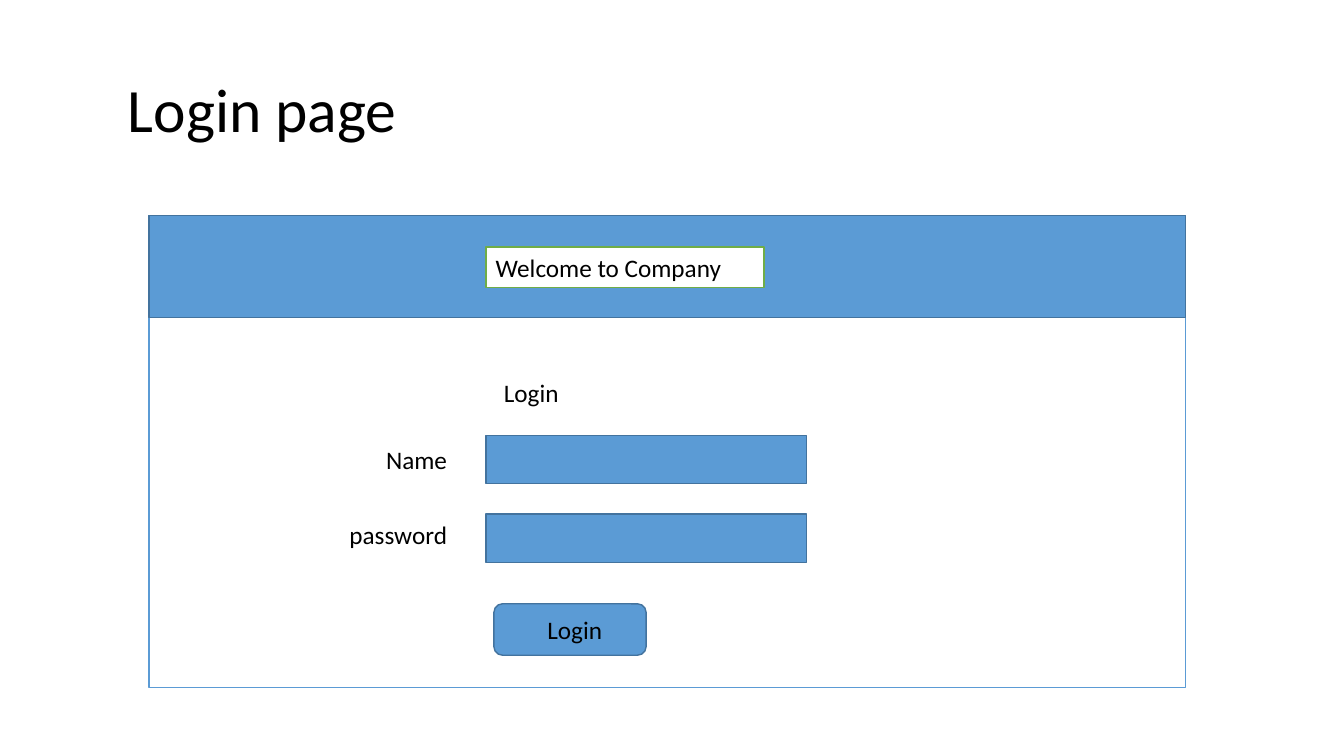
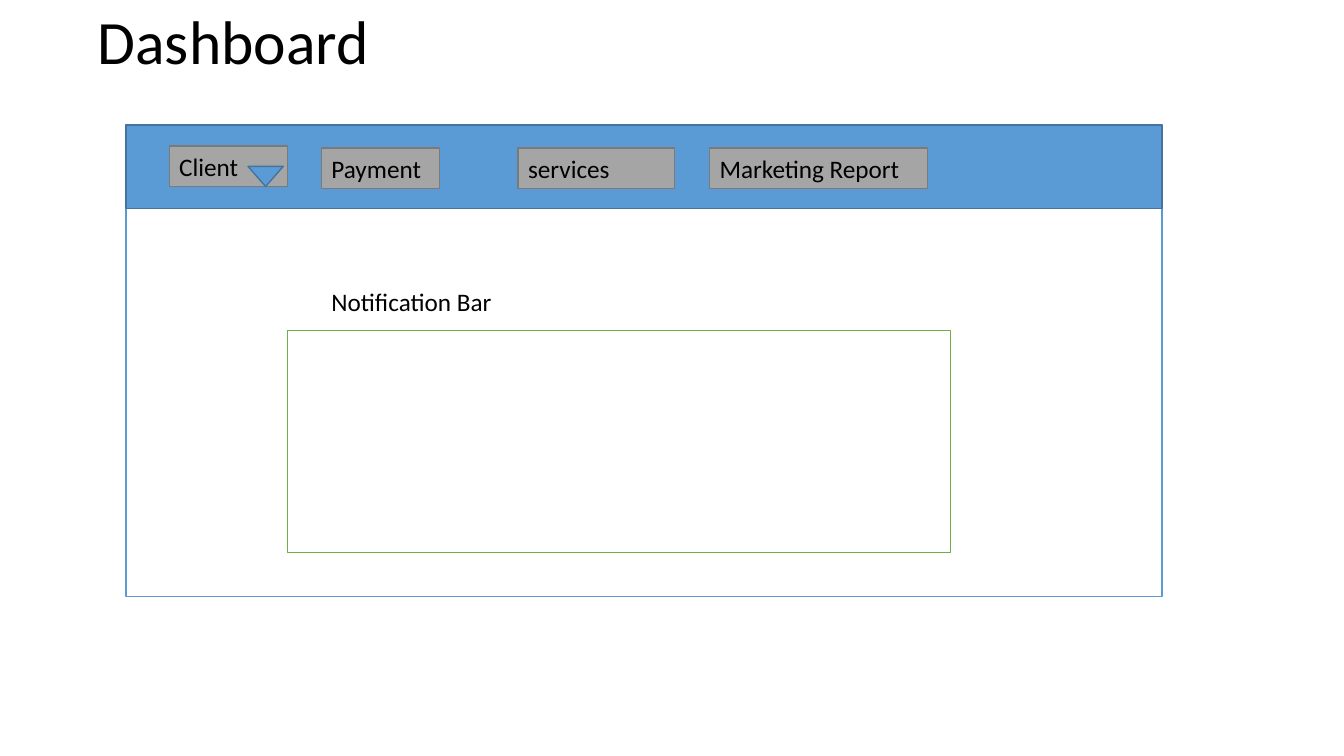
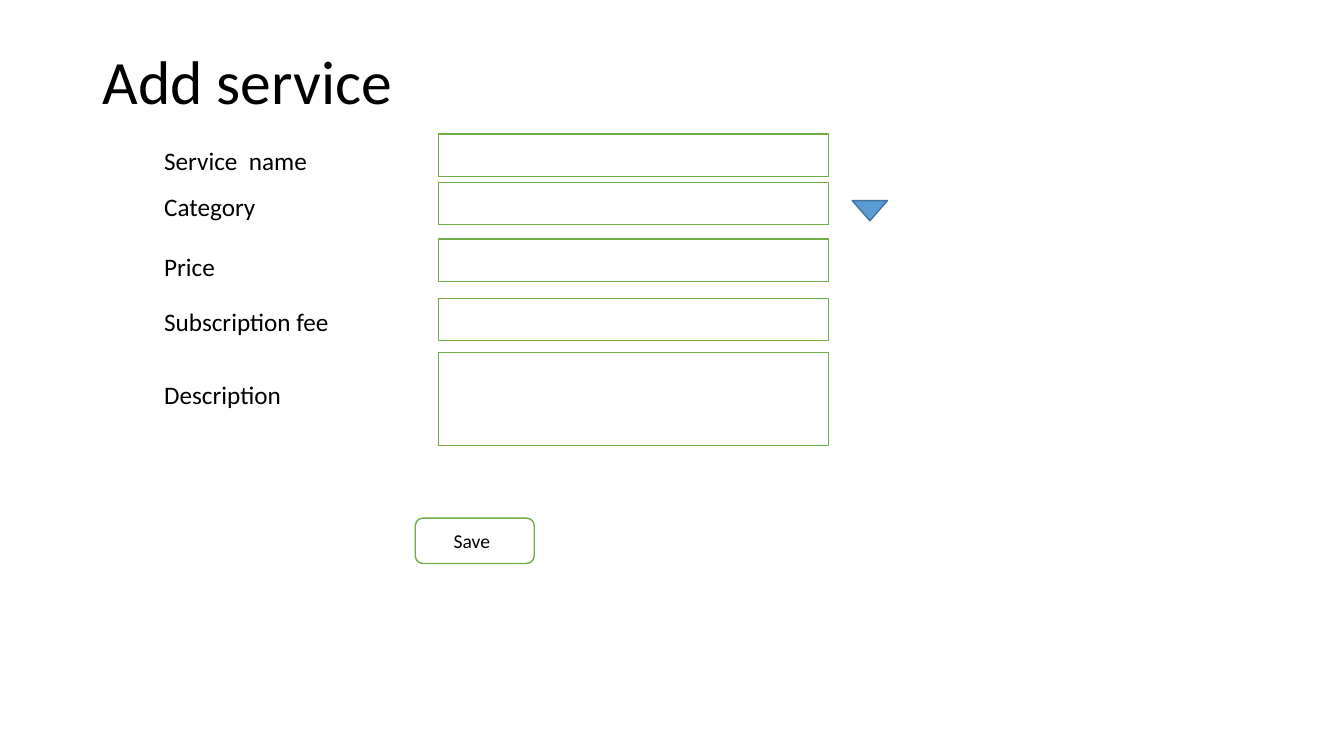
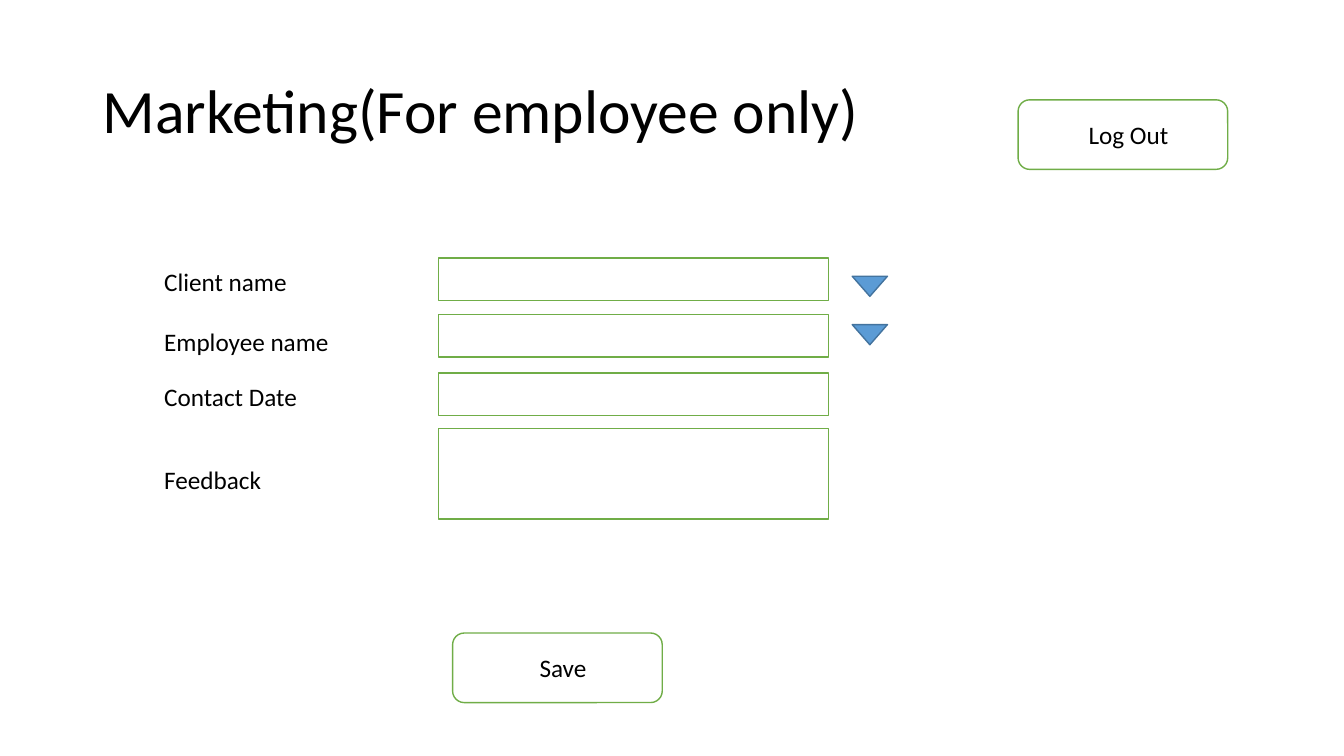
import dataclasses

import pptx
import pptx.dml.color
import pptx.enum.shapes
import pptx.enum.text
import pptx.util

SHAPES = pptx.enum.shapes.MSO_SHAPE
ALIGN = pptx.enum.text.PP_ALIGN
ANCHOR = pptx.enum.text.MSO_ANCHOR

# The slide is a grid of square cells.
COLUMNS, ROWS = 160, 90
CELL = pptx.util.Inches(1) / 12


@dataclasses.dataclass(frozen=True)
class Theme:
    """Colours, type sizes and repeated measures (in grid cells)."""
    font: str = "Calibri"
    ink: str = "000000"
    white: str = "FFFFFF"
    blue: str = "5B9BD5"
    blue_edge: str = "43739E"
    gray: str = "A5A5A5"
    gray_edge: str = "7A7A7A"
    green: str = "70AD47"
    title_size: int = 44
    text_size: int = 18
    small_size: int = 14
    line_width: int = 1
    label_height: float = 4.8
    field_height: float = 5.04
    window_width: float = 123.36
    window_height: float = 56.16


THEME = Theme()
BLUE = (THEME.blue, THEME.blue_edge)
GRAY = (THEME.gray, THEME.gray_edge)
BLUE_OUTLINE = (THEME.white, THEME.blue)
GREEN_OUTLINE = (THEME.white, THEME.green)


def cells(*lengths):
    """Turn grid cells into slide lengths."""
    return [pptx.util.Emu(round(length * CELL)) for length in lengths]


def color(code):
    """Return the colour for an RRGGBB code."""
    return pptx.dml.color.RGBColor.from_string(code)


def write(shape, text, size=THEME.text_size, align=ALIGN.LEFT, anchor=ANCHOR.TOP):
    """Write one paragraph into a shape and return it."""
    frame = shape.text_frame
    frame.word_wrap = True
    frame.vertical_anchor = anchor
    paragraph = frame.paragraphs[0]
    paragraph.text = text
    paragraph.alignment = align
    paragraph.font.name = THEME.font
    paragraph.font.size = pptx.util.Pt(size)
    paragraph.font.color.rgb = color(THEME.ink)
    return paragraph


def add_label(slide, text, left, top, width, align=ALIGN.LEFT):
    """Add one line of plain text."""
    box = slide.shapes.add_textbox(*cells(left, top, width, THEME.label_height))
    write(box, text, align=align)


def add_title(slide, text, left, top, width, height):
    """Add the slide title, centred vertically in its area."""
    box = slide.shapes.add_textbox(*cells(left, top, width, height))
    paragraph = write(box, text, THEME.title_size, anchor=ANCHOR.MIDDLE)
    paragraph.line_spacing = 0.9


def add_panel(slide, style, left, top, width, height, kind=SHAPES.RECTANGLE):
    """Add a preset shape with a (fill, line) style."""
    fill, line = style
    shape = slide.shapes.add_shape(kind, *cells(left, top, width, height))
    shape.shadow.inherit = False
    shape.fill.solid()
    shape.fill.fore_color.rgb = color(fill)
    shape.line.color.rgb = color(line)
    shape.line.width = pptx.util.Pt(THEME.line_width)
    return shape


def add_tag(slide, text, style, left, top, width):
    """Add a one-line box with left-aligned text."""
    write(add_panel(slide, style, left, top, width, THEME.label_height), text)


def add_button(slide, text, style, left, top, width, height,
               size=THEME.text_size, indent=0):
    """Add a rounded button; indent widens the left margin of its caption."""
    button = add_panel(slide, style, left, top, width, height,
                       SHAPES.ROUNDED_RECTANGLE)
    write(button, text, size, ALIGN.CENTER, ANCHOR.MIDDLE)
    button.text_frame.margin_left, button.text_frame.margin_right = cells(
        1.2 + indent, 1.2)


def add_dropdown(slide, left, top):
    """Add a small triangle that points down."""
    arrow = add_panel(slide, BLUE, left, top, 4.2, 2.4, SHAPES.ISOSCELES_TRIANGLE)
    arrow.rotation = 180


def add_window(slide, left, top, band_height):
    """Add a page frame with a blue band along its top."""
    add_panel(slide, BLUE_OUTLINE, left, top, THEME.window_width,
              THEME.window_height)
    add_panel(slide, BLUE, left, top, THEME.window_width, band_height)


def add_form(slide, rows):
    """Add rows of (label, label top, field top, field height, arrow top)."""
    for text, label_top, field_top, height, arrow_top in rows:
        add_label(slide, text, 18.36, label_top, 26)
        add_panel(slide, GREEN_OUTLINE, 52.2, field_top, 46.44, height)
        if arrow_top is not None:
            add_dropdown(slide, 101.45, arrow_top)


def build_login(slide):
    """Build the login page."""
    add_title(slide, "Login page", 14.04, 4.68, 138, 17.4)
    add_window(slide, 17.76, 25.68, 12.12)
    add_tag(slide, "Welcome to Company", GREEN_OUTLINE, 57.84, 29.4, 33.12)
    add_label(slide, "Login", 58.8, 44.28, 31.08)
    for text, label_top, field_top in (("Name", 52.32, 51.84),
                                       ("password", 61.2, 61.2)):
        add_label(slide, text, 32.5, label_top, 21.9, ALIGN.RIGHT)
        add_panel(slide, BLUE, 57.84, field_top, 38.16, 5.76)
    add_button(slide, "Login", BLUE, 58.8, 71.88, 18.12, 6.12, indent=1.1)


def build_dashboard(slide):
    """Build the dashboard with its menu and notification area."""
    add_title(slide, "Dashboard", 10.44, 0.6, 138, 9.36)
    add_window(slide, 15, 14.88, 9.96)
    menu = (("Client", 20.16, 17.4, 14.04),
            ("Payment", 38.28, 17.64, 14.04),
            ("services", 61.68, 17.64, 18.6),
            ("Marketing Report", 84.48, 17.64, 25.92))
    for text, left, top, width in menu:
        add_tag(slide, text, GRAY, left, top, width)
    add_dropdown(slide, 29.52, 19.8)
    add_panel(slide, GREEN_OUTLINE, 34.2, 39.36, 78.96, 26.4)
    add_label(slide, "Notification Bar", 38.28, 33.48, 32.88)


def build_add_service(slide):
    """Build the form for a new service."""
    add_title(slide, "Add service", 11.04, 4.8, 44.64, 10.44)
    add_form(slide, (
        ("Service  name", 16.68, 15.96, THEME.field_height, None),
        ("Category", 22.2, 21.72, THEME.field_height, 23.88),
        ("Price", 29.28, 28.44, THEME.field_height, None),
        ("Subscription fee", 35.88, 35.52, THEME.field_height, None),
        ("Description", 44.52, 42, 11.04, None)))
    add_button(slide, "Save", GREEN_OUTLINE, 49.44, 61.68, 14.16, 5.4,
               THEME.small_size, -0.7)


def build_marketing(slide):
    """Build the marketing form for employees."""
    add_title(slide, "Marketing(For employee only)", 11.04, 4.8, 138, 17.4)
    for text, left, top in (("Log Out", 121.2, 11.88), ("Save", 53.88, 75.36)):
        add_button(slide, text, GREEN_OUTLINE, left, top, 24.96, 8.28, indent=1.3)
    add_form(slide, (
        ("Client name", 31.08, 30.72, THEME.field_height, 32.88),
        ("Employee name", 38.28, 37.44, THEME.field_height, 38.64),
        ("Contact Date", 44.76, 44.4, THEME.field_height, None),
        ("Feedback", 54.72, 51, 10.8, None)))


def main():
    """Build and save the four slides."""
    presentation = pptx.Presentation()
    presentation.slide_width, presentation.slide_height = cells(COLUMNS, ROWS)
    blank_layout = presentation.slide_layouts[6]
    for build in (build_login, build_dashboard, build_add_service,
                  build_marketing):
        build(presentation.slides.add_slide(blank_layout))
    presentation.save("out.pptx")


main()
